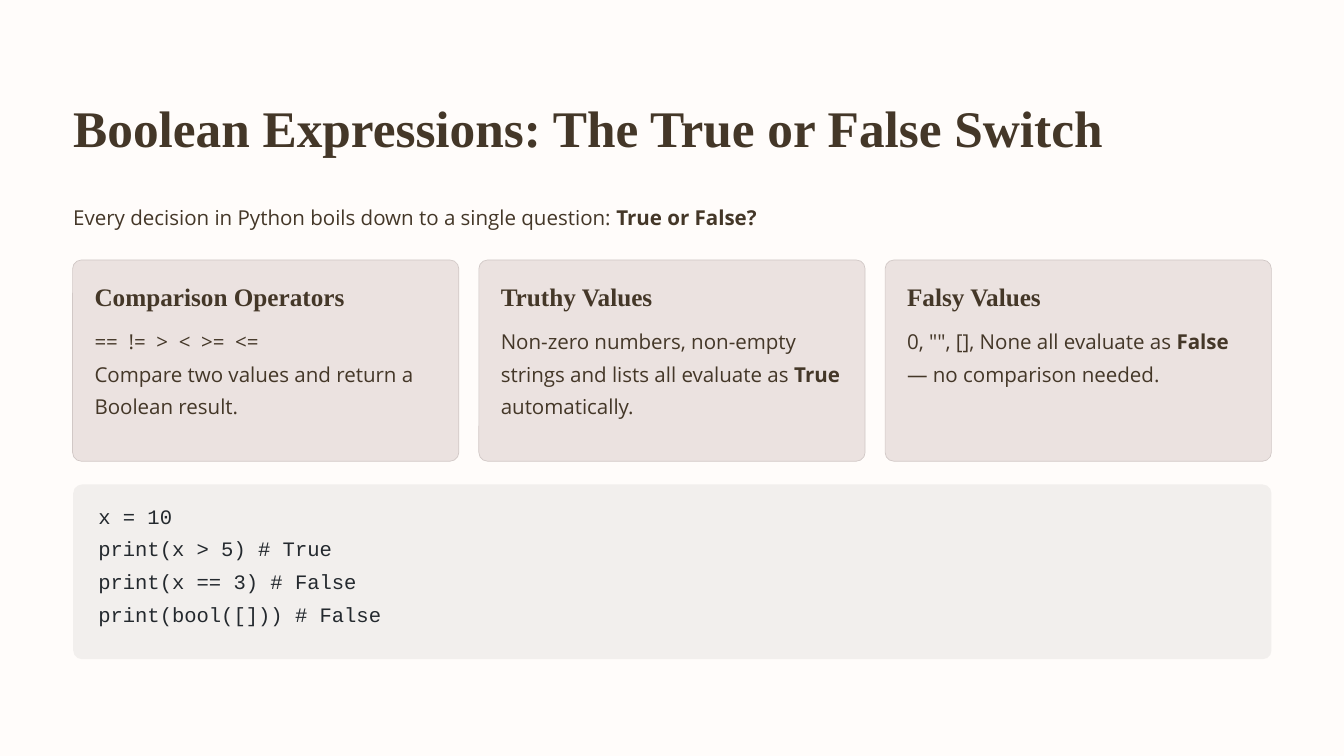
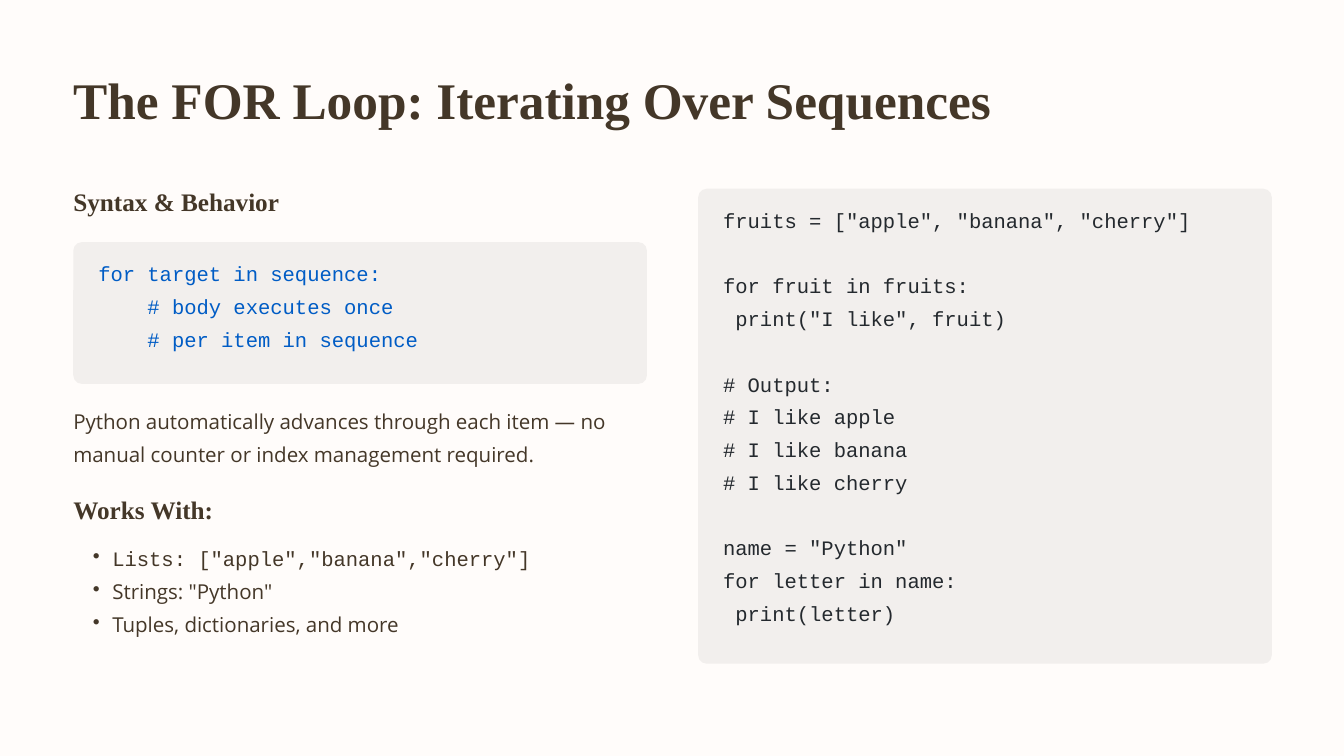
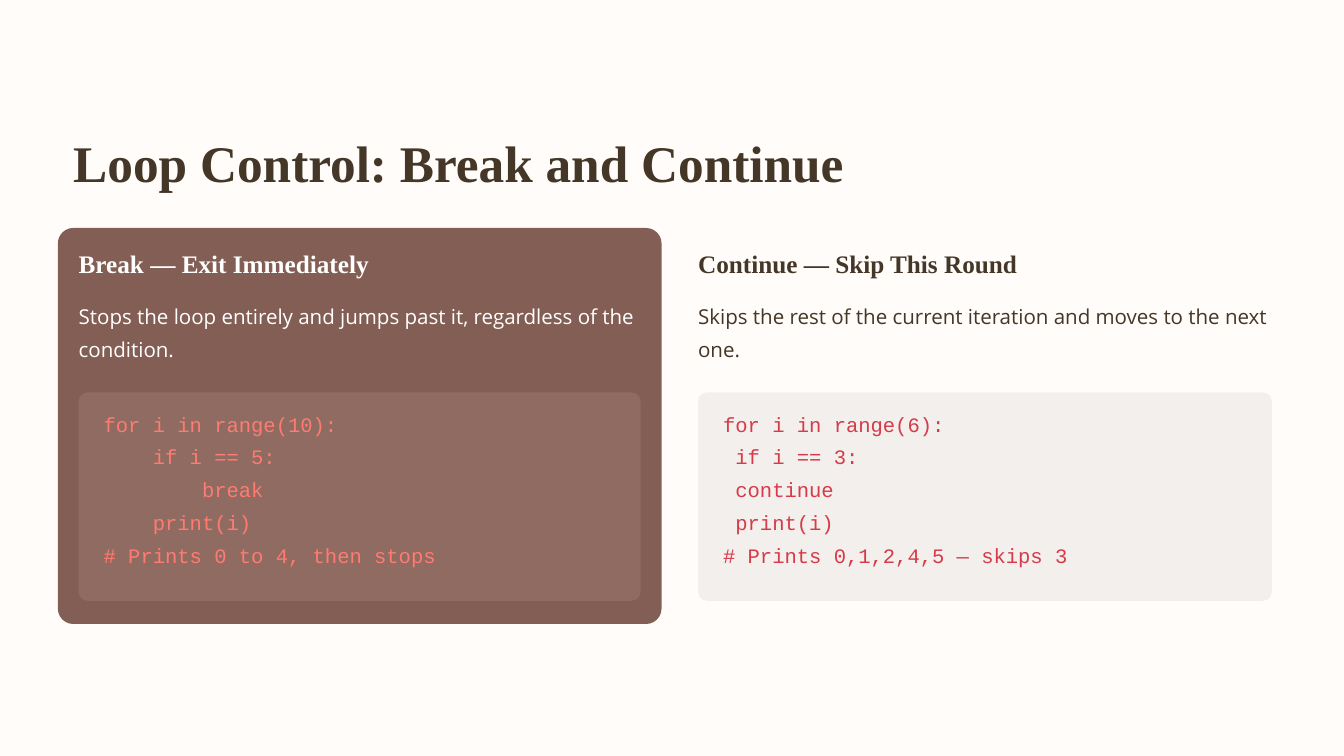
from lxml import etree
from pptx import Presentation
from pptx.dml.color import RGBColor
from pptx.enum.shapes import MSO_SHAPE
from pptx.enum.text import MSO_ANCHOR, PP_ALIGN
from pptx.oxml.ns import qn
from pptx.util import Pt

ROUNDED = MSO_SHAPE.ROUNDED_RECTANGLE
TOP = MSO_ANCHOR.TOP
LEFT = PP_ALIGN.LEFT

COLORS = {
    "background": "FFFCFA",
    "text": "443728",
    "white": "FFFFFF",
    "card": "EBE2E0",
    "card_line": "D1C8C6",
    "panel": "F2EFED",
    "feature": "835E54",
    "feature_panel": "906B61",
    "code": "24292E",
    "code_blue": "005CC5",
    "code_red": "D73A49",
    "code_coral": "FF7B72",
}
SERIF, SANS, MONO = "Times New Roman", "Open Sans", "Courier New"

MARGIN = 78.5
CONTENT_WIDTH = 1283.8
COLUMN_WIDTH = 614.7
RIGHT_COLUMN = 748
BODY_LINE = 35.1
RADIUS = 9.4

CARDS = [
    ("Comparison Operators",
     ["==  !=  >  <  >=  <=", "Compare two values and return a Boolean result."]),
    ("Truthy Values",
     ["Non-zero numbers, non-empty strings and lists all evaluate as **True** automatically."]),
    ("Falsy Values",
     ['0, "", [], None all evaluate as **False** — no comparison needed.']),
]

BOOLEAN_CODE = """x = 10
print(x > 5) # True
print(x == 3) # False
print(bool([])) # False"""

FOR_SYNTAX_CODE = """for target in sequence:
    # body executes once
    # per item in sequence"""

FRUITS_CODE = """fruits = ["apple", "banana", "cherry"]

for fruit in fruits:
 print("I like", fruit)

# Output:
# I like apple
# I like banana
# I like cherry

name = "Python"
for letter in name:
 print(letter)"""

BREAK_CODE = """for i in range(10):
    if i == 5:
        break
    print(i)
# Prints 0 to 4, then stops"""

CONTINUE_CODE = """for i in range(6):
 if i == 3:
 continue
 print(i)
# Prints 0,1,2,4,5 — skips 3"""


def rgb(name):
    return RGBColor.from_string(COLORS[name])


def add_slide(presentation, title, title_top):
    slide = presentation.slides.add_slide(presentation.slide_layouts[6])
    slide.background.fill.solid()
    slide.background.fill.fore_color.rgb = rgb("background")
    add_text(slide, MARGIN, title_top, CONTENT_WIDTH, 72.7, [title],
             font=SERIF, size=55, line=68.6, bold=True)
    return slide


def add_text(slide, left, top, width, height, lines, font=SANS, size=22,
             color="text", line=BODY_LINE, bold=False):
    text_box = slide.shapes.add_textbox(Pt(left), Pt(top), Pt(width), Pt(height))
    text_frame = text_box.text_frame
    text_frame.word_wrap = True
    text_frame.vertical_anchor = TOP
    text_frame.margin_left = text_frame.margin_right = 0
    text_frame.margin_top = text_frame.margin_bottom = 0
    text_frame.text = "\n".join(text for text in lines if text)
    gap = 0
    paragraphs = iter(text_frame.paragraphs)
    for text in lines:
        if not text:
            gap += line
            continue
        paragraph = next(paragraphs)
        paragraph.alignment = LEFT
        paragraph.line_spacing = Pt(line)
        if gap:
            paragraph.space_before = Pt(gap)
            gap = 0
        format_runs(paragraph, text, font, size, color, bold)
    return text_frame


def format_runs(paragraph, text, font, size, color, bold):
    parts = text.split("**")
    paragraph.runs[0].text = parts[0]
    for part in filter(None, parts[1:]):
        paragraph.add_run().text = part
    for index, run in enumerate(paragraph.runs):
        run.font.name = font
        run.font.size = Pt(size)
        run.font.bold = bold or index % 2 == 1
        run.font.color.rgb = rgb(color)


def add_heading(slide, left, top, width, text, color="text"):
    add_text(slide, left, top, width, 36.7, [text], font=SERIF, size=27,
             color=color, line=33.7, bold=True)


def add_bullets(slide, left, top, width, height, items):
    text_frame = add_text(slide, left, top, width, height, items)
    for paragraph in text_frame.paragraphs:
        paragraph.level = 1
        properties = paragraph._p.get_or_add_pPr()
        properties.set("marL", str(Pt(41.8)))
        properties.set("indent", str(Pt(-20.9)))
        etree.SubElement(properties, qn("a:buChar")).set("char", "•")
    return text_frame


def add_rounded(slide, left, top, width, height, fill, line=None, radius=RADIUS):
    shape = slide.shapes.add_shape(ROUNDED, Pt(left), Pt(top), Pt(width), Pt(height))
    shape.adjustments[0] = radius / min(width, height)
    shape.shadow.inherit = False
    shape.fill.solid()
    shape.fill.fore_color.rgb = rgb(fill)
    if line:
        shape.line.color.rgb = rgb(line)
        shape.line.width = Pt(0.75)
    else:
        shape.line.fill.background()


def add_card(slide, left, top, width, height, heading, lines):
    padding = 23.5
    text_width = width - 2 * padding
    add_rounded(slide, left, top, width, height, "card", "card_line")
    add_heading(slide, left + padding, top + 21.6, text_width, heading)
    add_text(slide, left + padding, top + 65, text_width, 127, lines)


def add_code_panel(slide, left, top, width, height, code, color="code", fill="panel"):
    add_rounded(slide, left, top, width, height, fill)
    add_text(slide, left + 26.8, top + 11.8, width - 53.6, height - 34,
             code.split("\n"), font=MONO, color=color)


def add_control(slide, left, width, heading, text, code, text_color, code_color, panel):
    add_heading(slide, left, 265, width, heading, text_color)
    add_text(slide, left, 317.5, width, 78.5, [text], color=text_color)
    add_code_panel(slide, left, 420.5, width, 223.2, code, code_color, panel)


def build_boolean_slide(presentation):
    slide = add_slide(presentation, "Boolean Expressions: The True or False Switch", 100.8)
    add_text(slide, MARGIN, 211, CONTENT_WIDTH, 42.5,
             ["Every decision in Python boils down to a single question: **True or False?**"])
    card_width, card_gap = 413.8, 21.5
    for index, (heading, lines) in enumerate(CARDS):
        left = 77.8 + index * (card_width + card_gap)
        add_card(slide, left, 278.6, card_width, 215.6, heading, lines)
    add_code_panel(slide, MARGIN, 519.1, CONTENT_WIDTH, 187.2, BOOLEAN_CODE)


def build_for_slide(presentation):
    slide = add_slide(presentation, "The FOR Loop: Iterating Over Sequences", 70.6)
    add_heading(slide, MARGIN, 198, COLUMN_WIDTH, "Syntax & Behavior")
    add_code_panel(slide, MARGIN, 259.4, COLUMN_WIDTH, 152, FOR_SYNTAX_CODE, "code_blue")
    add_text(slide, MARGIN, 430, COLUMN_WIDTH, 78.5,
             ["Python automatically advances through each item — no manual counter "
              "or index management required."])
    add_heading(slide, MARGIN, 528.5, COLUMN_WIDTH, "Works With:")
    bullets = add_bullets(slide, MARGIN, 576.7, COLUMN_WIDTH, 133.2, [
        'Lists: ["apple","banana","cherry"]',
        'Strings: "Python"',
        "Tuples, dictionaries, and more",
    ])
    bullets.paragraphs[0].runs[0].font.name = MONO
    add_code_panel(slide, RIGHT_COLUMN, 202.2, COLUMN_WIDTH, 509, FRUITS_CODE)


def build_control_slide(presentation):
    slide = add_slide(presentation, "Loop Control: Break and Continue", 138.2)
    add_rounded(slide, 62, 244.3, 646.8, 424.3, "feature", radius=16.5)
    add_control(slide, 84.3, 602, "Break — Exit Immediately",
                "Stops the loop entirely and jumps past it, regardless of the condition.",
                BREAK_CODE, "white", "code_coral", "feature_panel")
    add_control(slide, RIGHT_COLUMN, COLUMN_WIDTH, "Continue — Skip This Round",
                "Skips the rest of the current iteration and moves to the next one.",
                CONTINUE_CODE, "text", "code_red", "panel")


def main():
    presentation = Presentation()
    presentation.slide_width = Pt(1440)
    presentation.slide_height = Pt(810)
    build_boolean_slide(presentation)
    build_for_slide(presentation)
    build_control_slide(presentation)
    presentation.save("out.pptx")


if __name__ == "__main__":
    main()
